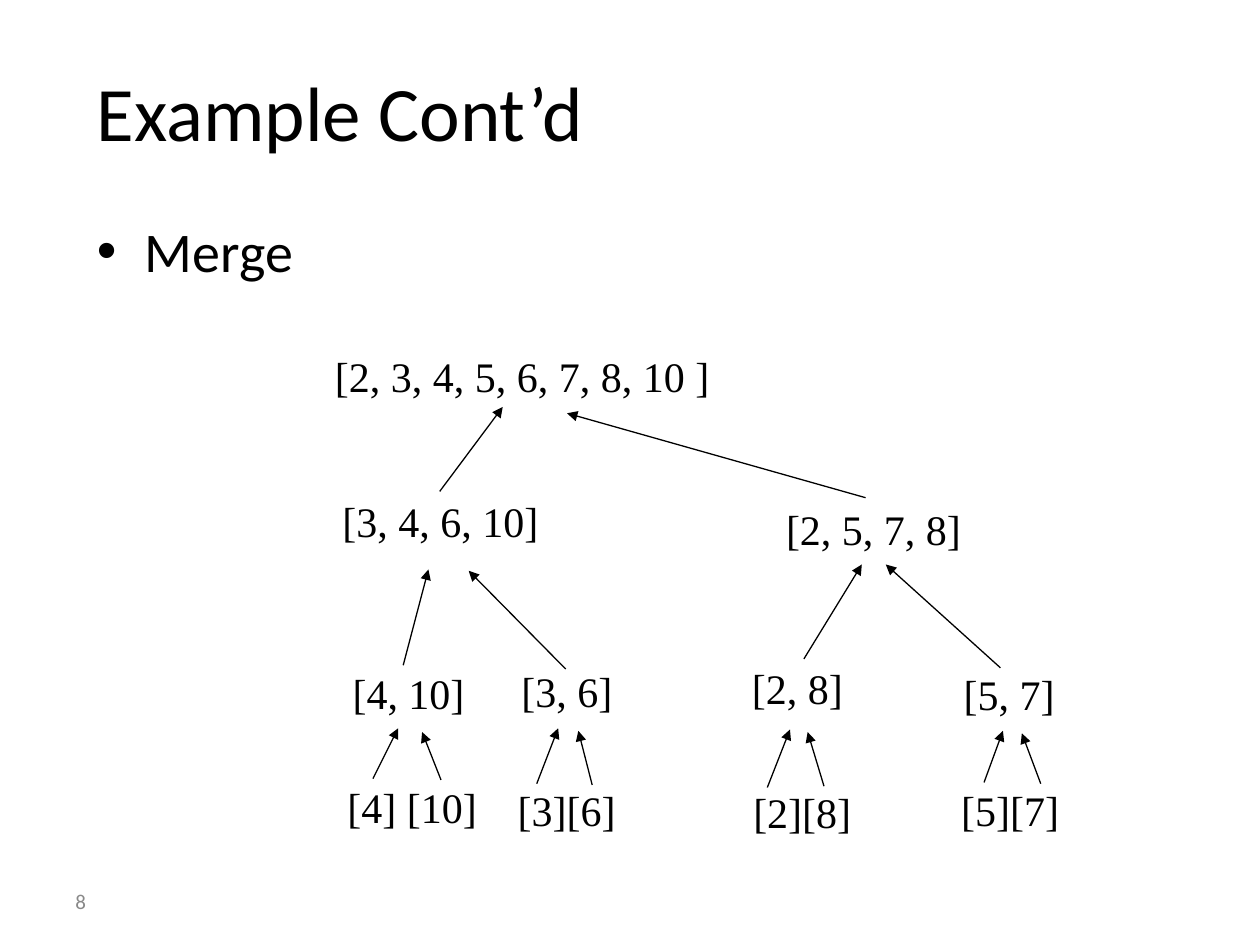
from typing import NamedTuple

from lxml import etree
from pptx import Presentation
from pptx.dml.color import RGBColor
from pptx.enum.shapes import MSO_CONNECTOR
from pptx.enum.text import MSO_ANCHOR, MSO_AUTO_SIZE, PP_ALIGN
from pptx.oxml.ns import qn
from pptx.util import Inches, Pt

BLACK = RGBColor(0x00, 0x00, 0x00)
GRAY = RGBColor(0x89, 0x89, 0x89)
SANS = "Calibri"
SERIF = "Times New Roman"
NODE_H = 0.5


class Node(NamedTuple):
    text: str
    x: float
    y: float
    w: float


class Arrow(NamedTuple):
    x1: float
    y1: float
    x2: float
    y2: float


# Merge tree, from the sorted list down to the single items
NODES = [
    Node("[2, 3, 4, 5, 6, 7, 8, 10 ]", 2.56, 2.73, 3.18),
    Node("[3, 4, 6, 10]", 2.62, 3.88, 1.77),
    Node("[2, 5, 7, 8]", 6.14, 3.95, 1.60),
    Node("[4, 10]", 2.70, 5.25, 1.10),
    Node("[3, 6]", 4.04, 5.23, 0.93),
    Node("[2, 8]", 5.87, 5.21, 0.93),
    Node("[5, 7]", 7.55, 5.26, 0.93),
    Node("[4] [10]", 2.66, 6.15, 1.24),
    Node("[3][6]", 4.01, 6.18, 0.99),
    Node("[2][8]", 5.88, 6.19, 0.99),
    Node("[5][7]", 7.53, 6.18, 0.99),
]

# Each arrow runs from a part up to its merged list
ARROWS = [
    Arrow(3.49, 3.90, 3.99, 3.23), Arrow(6.87, 3.95, 4.50, 3.28),
    Arrow(3.20, 5.28, 3.40, 4.52), Arrow(4.49, 5.31, 3.72, 4.53),
    Arrow(6.38, 5.23, 6.84, 4.48), Arrow(7.94, 5.30, 7.03, 4.48),
    Arrow(2.96, 6.18, 3.16, 5.78), Arrow(3.50, 6.19, 3.35, 5.81),
    Arrow(4.26, 6.22, 4.43, 5.78), Arrow(4.70, 6.23, 4.59, 5.80),
    Arrow(6.09, 6.25, 6.27, 5.79), Arrow(6.54, 6.24, 6.41, 5.81),
    Arrow(7.81, 6.21, 7.96, 5.80), Arrow(8.26, 6.22, 8.11, 5.82),
]


def add_text(s, text: str, x: float, y: float, w: float, h: float, *,
             size: float, font: str = SANS, color: RGBColor = BLACK,
             anchor=MSO_ANCHOR.TOP, grow: bool = False, bullet: bool = False) -> None:
    tf = s.shapes.add_textbox(Inches(x), Inches(y), Inches(w), Inches(h)).text_frame
    tf.word_wrap = not grow
    tf.auto_size = MSO_AUTO_SIZE.SHAPE_TO_FIT_TEXT if grow else MSO_AUTO_SIZE.NONE
    tf.vertical_anchor = anchor
    p = tf.paragraphs[0]
    p.alignment = PP_ALIGN.LEFT
    if bullet:
        pPr = p._p.get_or_add_pPr()
        pPr.set("marL", str(Inches(0.38)))
        pPr.set("indent", str(-Inches(0.38)))
        etree.SubElement(pPr, qn("a:buFont"), typeface="Arial")
        etree.SubElement(pPr, qn("a:buChar"), char="•")
    r = p.add_run()
    r.text = text
    r.font.size = Pt(size)
    r.font.name = font
    r.font.color.rgb = color


def add_node(s, node: Node) -> None:
    add_text(s, node.text, node.x, node.y, node.w, NODE_H,
             size=24, font=SERIF, grow=True)


def add_arrow(s, arrow: Arrow) -> None:
    line = s.shapes.add_connector(MSO_CONNECTOR.STRAIGHT, *map(Inches, arrow))
    line.line.color.rgb = BLACK
    line.line.width = Pt(0.75)
    etree.SubElement(line.line._get_or_add_ln(), qn("a:tailEnd"), type="triangle")
    etree.SubElement(line._element.spPr, qn("a:effectLst"))


def main() -> None:
    prs = Presentation()
    prs.slide_width, prs.slide_height = Inches(10), Inches(7.5)
    s = prs.slides.add_slide(prs.slide_layouts[6])

    # Title, bullet and slide number
    add_text(s, "Example Cont’d", 0.67, 0.25, 8.5, 1.25, size=44,
             anchor=MSO_ANCHOR.MIDDLE)
    add_text(s, "Merge", 0.67, 1.67, 8.5, 0.83, size=32, bullet=True)
    add_text(s, "8", 0.5, 6.95, 2.33, 0.4, size=12, color=GRAY,
             anchor=MSO_ANCHOR.MIDDLE)

    # Merge tree
    for node in NODES:
        add_node(s, node)
    for arrow in ARROWS:
        add_arrow(s, arrow)

    prs.save("out.pptx")


if __name__ == "__main__":
    main()
